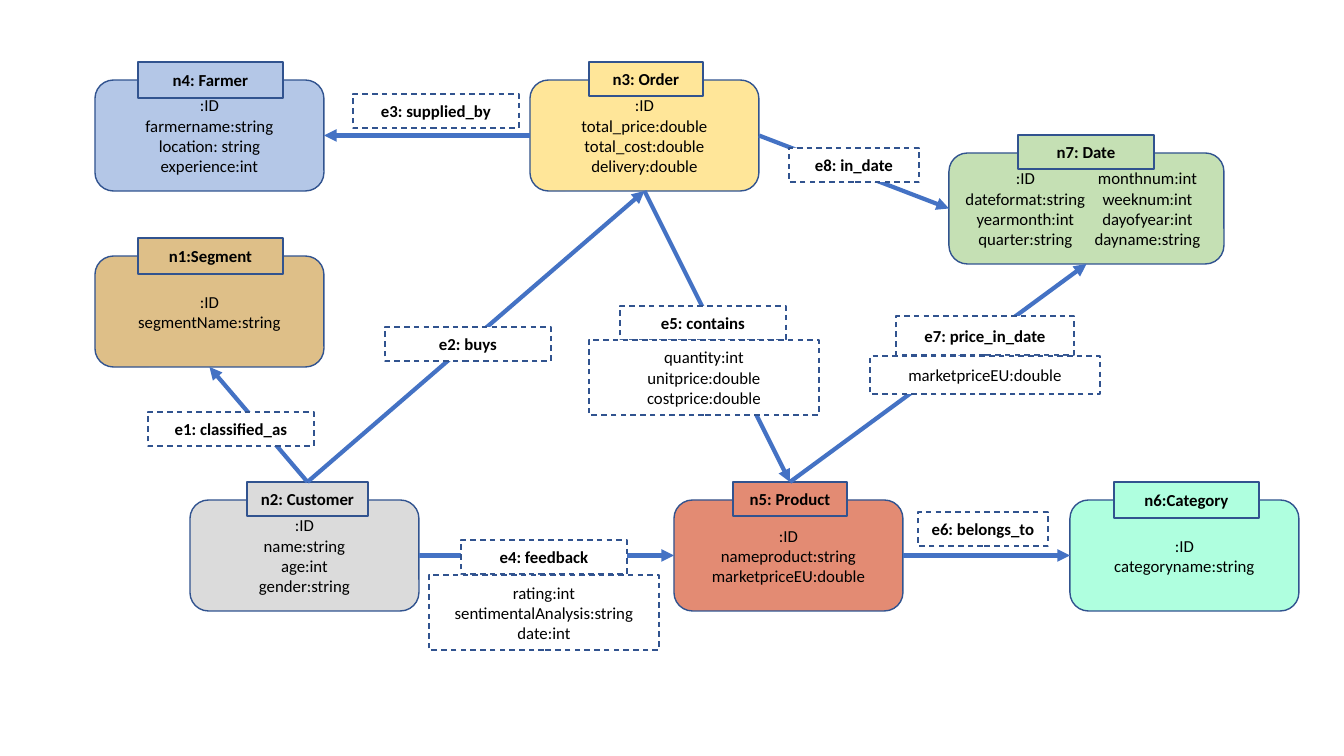
import pptx
import pptx.util
import pptx.dml.color
import pptx.enum.dml
import pptx.enum.shapes
import pptx.enum.text
import pptx.oxml
import pptx.oxml.ns

PX = 914400 / 100.8
SLIDE_W, SLIDE_H = 1344, 756
BODY_H, TAG_LIFT, LABEL_H = 111, 18, 34
COLORS = {
    "text": "000000", "border": "31538F", "arrow": "4472C4", "label": "FFFFFF",
    "order": "FFE699", "customer": "DBDBDB", "date": "C5E0B4", "product": "E38B73",
    "farmer": "B4C7E7", "segment": "DEBF88", "category": "AFFFDF",
}

NODES = [
    ("order", "n3: Order", (530, 80, 229), (589, 114, 34), 1,
     [":ID\vtotal_price:double", "total_cost:double", "delivery:double"]),
    ("customer", "n2: Customer", (190, 500, 229), (247, 121, 34), 1,
     [":ID", "name:string", "age:int", "gender:string"]),
    ("date", "n7: Date", (949, 153, 275), (1018, 136, 34), 2,
     [":ID\vdateformat:string", "yearmonth:int", "quarter:string",
      "monthnum:int", "weeknum:int", "dayofyear:int", "dayname:string"]),
    ("product", "n5: Product", (674, 500, 229), (733, 114, 34), 1,
     [":ID", "nameproduct:string", "marketpriceEU:double"]),
    ("farmer", "n4: Farmer", (95, 80, 229), (138, 145, 36), 1,
     [":ID\vfarmername:string", "location: string", "experience:int"]),
    ("segment", "n1:Segment", (95, 256, 229), (138, 145, 36), 1,
     [":ID", "segmentName:string"]),
    ("category", "n6:Category", (1070, 500, 229), (1114, 145, 36), 1,
     [":ID", "categoryname:string"]),
]

EDGES = [
    ("order", "left", "farmer", "right"),
    ("order", "right", "date", "left"),
    ("order", "bottom", "product", "top"),
    ("product", "top", "date", "bottom"),
    ("customer", "top", "order", "bottom"),
    ("customer", "right", "product", "left"),
    ("customer", "top", "segment", "bottom"),
    ("product", "right", "category", "left"),
]

EDGE_LABELS = [
    ("e3: supplied_by", 353, 94, 166, LABEL_H, 10),
    ("e8: in_date", 789, 148, 130, LABEL_H, 10),
    ("e5: contains", 620, 306, 166, LABEL_H, 10),
    ("e7: price_in_date", 896, 316, 178, 39, 4),
    ("e2: buys", 385, 327, 166, LABEL_H, 10),
    ("e1: classified_as", 148, 412, 166, LABEL_H, 10),
    ("e4: feedback", 461, 540, 166, LABEL_H, 10),
    ("e6: belongs_to", 918, 512, 130, LABEL_H, 10),
]

EDGE_PROPERTIES = [
    (["quantity:int", "unitprice:double", "costprice:double"], 589, 340, 230, 75),
    (["marketpriceEU:double"], 870, 356, 230, 38),
    (["rating:int", "sentimentalAnalysis:string", "date:int"], 429, 575, 230, 75),
]

SITES = {"top": 0, "left": 1, "bottom": 2, "right": 3}
SHAPE = pptx.enum.shapes.MSO_SHAPE
FONT = {"name": "Calibri", "size": pptx.util.Pt(12)}
DASHED = {"dash_style": pptx.enum.dml.MSO_LINE.DASH}


def emu(px):
    return pptx.util.Emu(round(px * PX))


def rgb(key):
    return pptx.dml.color.RGBColor.from_string(COLORS[key])


def apply(target, values):
    for name, value in values.items():
        setattr(target, name, value)


def box(shapes, kind, rect, fill, lines, bold=False, line_format={}, inset=10, columns=1):
    s = shapes.add_shape(kind, *map(emu, rect))
    s.shadow.inherit = False
    s.fill.solid()
    s.fill.fore_color.rgb = rgb(fill)
    s.line.color.rgb = rgb("border")
    apply(s.line, {"width": pptx.util.Pt(1), **line_format})
    tf = s.text_frame
    tf.text = "\n".join(lines)
    apply(tf, {
        "word_wrap": True,
        "vertical_anchor": pptx.enum.text.MSO_ANCHOR.MIDDLE,
        "margin_left": emu(inset), "margin_right": emu(inset),
        "margin_top": emu(5), "margin_bottom": emu(5),
    })
    if columns > 1:
        s.element.txBody.bodyPr.set("numCol", str(columns))
    for p in tf.paragraphs:
        p.alignment = pptx.enum.text.PP_ALIGN.CENTER
        for r in p.runs:
            apply(r.font, {**FONT, "bold": bold})
            r.font.color.rgb = rgb("text")
    return s


def arrow(shapes, start, start_site, end, end_site):
    s = shapes.add_connector(pptx.enum.shapes.MSO_CONNECTOR.STRAIGHT, 0, 0, 0, 0)
    s.begin_connect(start, SITES[start_site])
    s.end_connect(end, SITES[end_site])
    s.line.color.rgb = rgb("arrow")
    s.line.width = pptx.util.Pt(3)
    ns = pptx.oxml.ns.nsdecls("a")
    s.line._get_or_add_ln().append(
        pptx.oxml.parse_xml(f'<a:tailEnd {ns} type="triangle"/>'))
    s.element.spPr.append(pptx.oxml.parse_xml(f"<a:effectLst {ns}/>"))


prs = pptx.Presentation()
prs.slide_width, prs.slide_height = emu(SLIDE_W), emu(SLIDE_H)
shapes = prs.slides.add_slide(prs.slide_layouts[6]).shapes

anchors = {}
for key, title, (x, y, w), (tag_x, tag_w, tag_h), columns, fields in NODES:
    group = shapes.add_group_shape().shapes
    body = box(group, SHAPE.ROUNDED_RECTANGLE, (x, y, w, BODY_H), key, fields,
               columns=columns)
    tag = box(group, SHAPE.RECTANGLE, (tag_x, y - TAG_LIFT, tag_w, tag_h), key,
              [title], bold=True)
    anchors[key] = {"top": tag, "left": body, "bottom": body, "right": body}

for start, start_site, end, end_site in EDGES:
    arrow(shapes, anchors[start][start_site], start_site,
          anchors[end][end_site], end_site)

for title, x, y, w, h, inset in EDGE_LABELS:
    box(shapes, SHAPE.RECTANGLE, (x, y, w, h), "label", [title], bold=True,
        line_format=DASHED, inset=inset)

for fields, *rect in EDGE_PROPERTIES:
    box(shapes, SHAPE.RECTANGLE, rect, "label", fields, line_format=DASHED)

prs.save("out.pptx")
